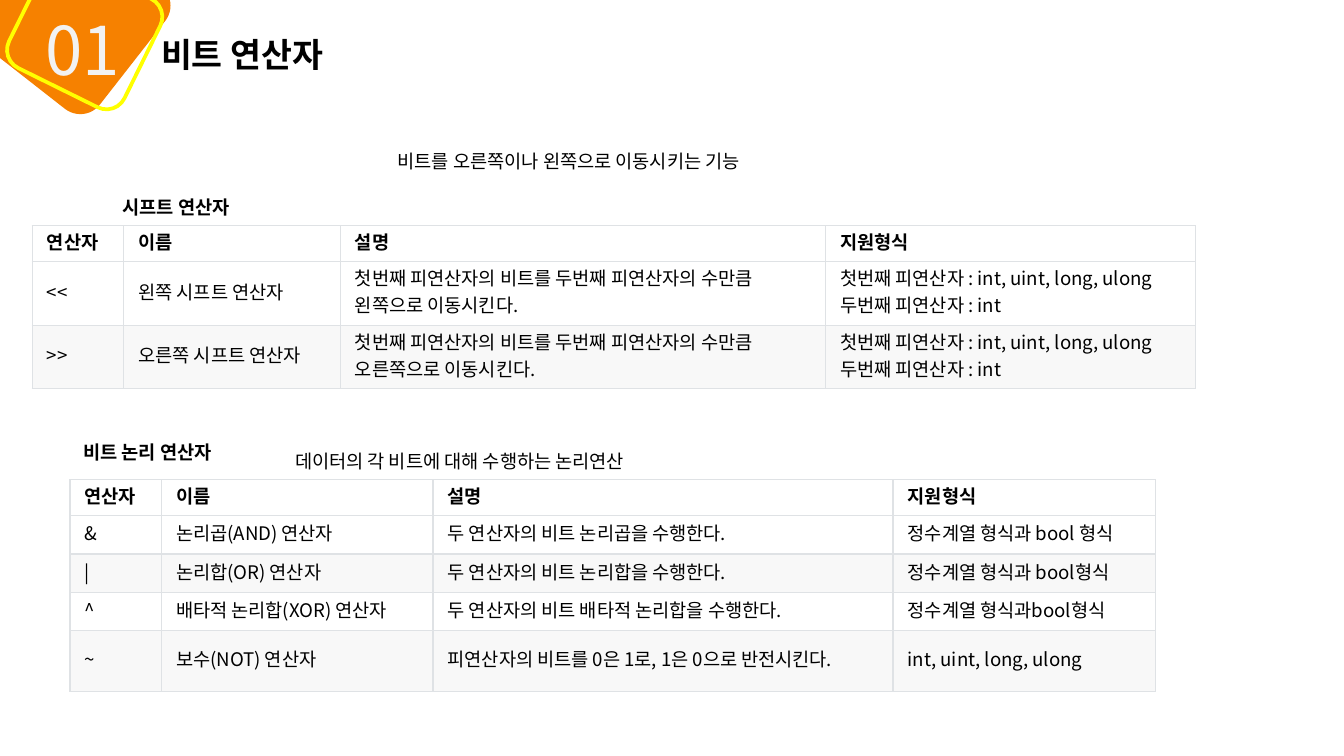
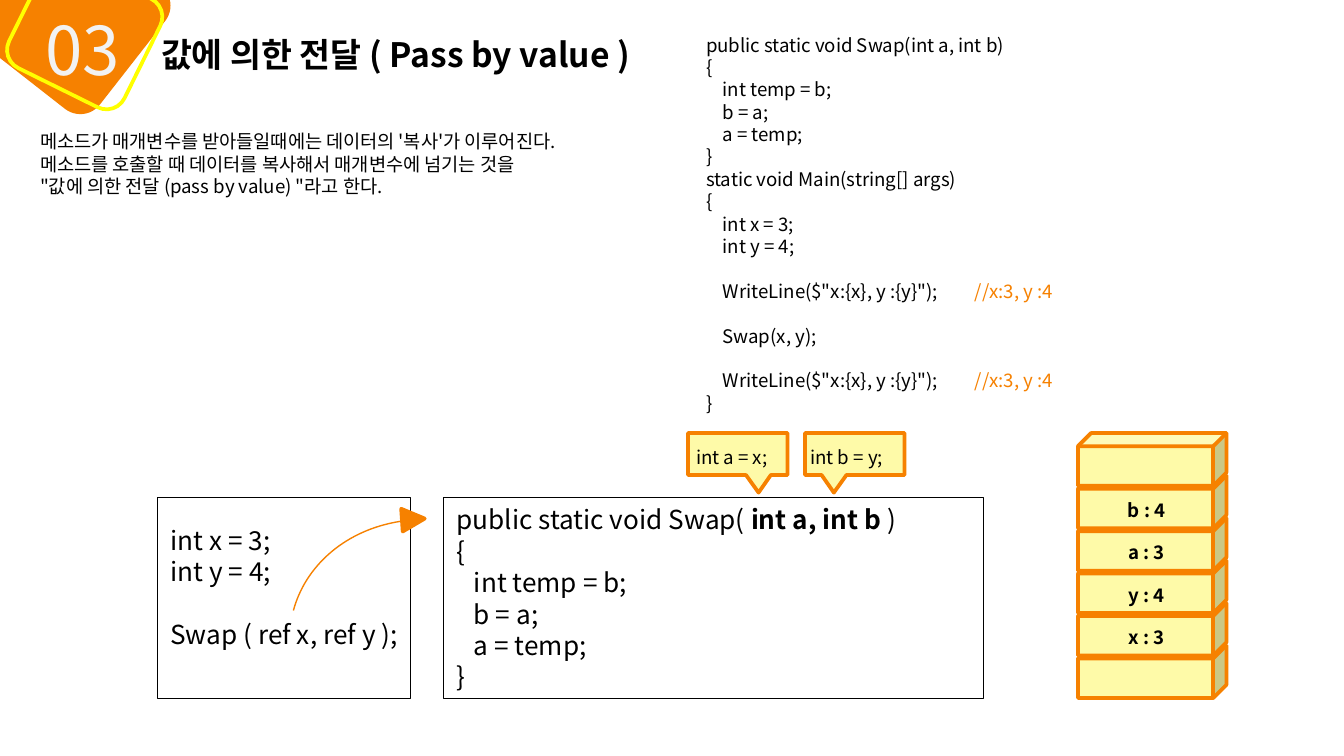
from dataclasses import dataclass
from typing import Any, Optional

from lxml.etree import SubElement
from pptx import Presentation
from pptx.dml.color import RGBColor
from pptx.enum.shapes import MSO_SHAPE
from pptx.enum.text import MSO_ANCHOR, MSO_AUTO_SIZE, PP_ALIGN
from pptx.oxml.ns import qn
from pptx.util import Pt

FONT = "Noto Sans CJK KR"
LEAD = 1.2
BLACK = RGBColor(0x00, 0x00, 0x00)
WHITE = RGBColor(0xFF, 0xFF, 0xFF)
PALE = RGBColor(0xF2, 0xF2, 0xF2)
BAND = RGBColor(0xF8, 0xF8, 0xF8)
ORANGE = RGBColor(0xF6, 0x81, 0x00)
YELLOW = RGBColor(0xFF, 0xFF, 0x00)
CREAM = RGBColor(0xFE, 0xFA, 0xA8)
GRID = "DFE2E5"


@dataclass
class Label:
    """A text box; the marked part of a line gets its own look."""
    text: str
    x: float
    y: float
    w: float
    h: float = 19.2
    size: float = 10
    bold: bool = False
    tone: RGBColor = BLACK
    wrap: bool = False
    align: PP_ALIGN = PP_ALIGN.LEFT
    mark: str = ""
    mark_tone: RGBColor = BLACK
    mark_bold: bool = False


@dataclass
class Form:
    """A preset shape."""
    kind: MSO_SHAPE
    x: float
    y: float
    w: float
    h: float
    fill: Optional[RGBColor] = None
    line: Optional[RGBColor] = None
    width: float = 2
    turn: float = 0
    adjust: tuple[float, ...] = ()


@dataclass
class Grid:
    """A table with its column widths and row heights."""
    x: float
    y: float
    cols: tuple[float, ...]
    rows: tuple[float, ...]
    cells: list[tuple[str, ...]]


HEAD = ("연산자", "이름", "설명", "지원형식")
SHIFT_TYPES = "첫번째 피연산자 : int, uint, long, ulong\n두번째 피연산자 : int"
SHIFT_TEXT = "첫번째 피연산자의 비트를 두번째 피연산자의 수만큼\n{}으로 이동시킨다."

SHIFT = Grid(17.3, 121, (49, 116, 260, 198), (19.2, 34, 34), [
    HEAD,
    ("<<", "왼쪽 시프트 연산자", SHIFT_TEXT.format("왼쪽"), SHIFT_TYPES),
    (">>", "오른쪽 시프트 연산자", SHIFT_TEXT.format("오른쪽"), SHIFT_TYPES),
])
LOGIC = Grid(37.5, 257, (49, 145.5, 246.5, 140.4), (19.2, 20.6, 20.6, 20.6, 32.5), [
    HEAD,
    ("&", "논리곱(AND) 연산자", "두 연산자의 비트 논리곱을 수행한다.",
     "정수계열 형식과 bool 형식"),
    ("|", "논리합(OR) 연산자", "두 연산자의 비트 논리합을 수행한다.",
     "정수계열 형식과 bool형식"),
    ("^", "배타적 논리합(XOR) 연산자", "두 연산자의 비트 배타적 논리합을 수행한다.",
     "정수계열 형식과bool형식"),
    ("~", "보수(NOT) 연산자", "피연산자의 비트를 0은 1로, 1은 0으로 반전시킨다.",
     "int, uint, long, ulong"),
])
NOTES = [
    Label("비트를 오른쪽이나 왼쪽으로 이동시키는 기능", 206, 77, 220),
    Label("비트 논리 연산자", 37.5, 232.5, 92, bold=True),
    Label("데이터의 각 비트에 대해 수행하는 논리연산", 151, 237.5, 214),
    Label("시프트 연산자", 58.5, 101.5, 78.5, bold=True),
]

INTRO = """메소드가 매개변수를 받아들일때에는 데이터의 '복사'가 이루어진다.
메소드를 호출할 때 데이터를 복사해서 매개변수에 넘기는 것을
"값에 의한 전달 (pass by value) "라고 한다."""
CODE = """public static void Swap(int a, int b)
{
    int temp = b;
    b = a;
    a = temp;
}
static void Main(string[] args)
{
    int x = 3;
    int y = 4;

    WriteLine($"x:{x}, y :{y}");\t//x:3, y :4

    Swap(x, y);

    WriteLine($"x:{x}, y :{y}");\t//x:3, y :4
}"""
CALL = """int x = 3;
int y = 4;

Swap ( ref x, ref y );"""
SWAP = """public static void Swap( int a, int b )
{
   int temp = b;
   b = a;
   a = temp;
}"""
TEXTS = [
    Label(INTRO, 14.4, 66.3, 354, 44, wrap=True),
    Label(CODE, 371.2, 14.4, 360, 213, wrap=True, mark="//x:3, y :4", mark_tone=ORANGE),
    Label(CALL, 84.2, 277.2, 142, 92, 14, wrap=True),
    Label(SWAP, 237.4, 266.4, 252, 108.5, 14, mark="int a, int b ", mark_bold=True),
]
FLOW = [
    Form(MSO_SHAPE.RECTANGLE, 237.4, 266.4, 289.6, 107.8, line=BLACK, width=0.5),
    Form(MSO_SHAPE.RECTANGLE, 84.2, 266.4, 136, 107.8, line=BLACK, width=0.5),
    Form(MSO_SHAPE.ARC, 164.2, 269.3, 136.8, 156.2, line=ORANGE, width=0.75,
         turn=285.1, adjust=(162, 203.48)),
    Form(MSO_SHAPE.ISOSCELES_TRIANGLE, 215.3, 272.2, 12.2, 12.2, ORANGE, ORANGE, turn=86.1),
]
STACK = ("", "b : 4", "a : 3", "y : 4", "x : 3", "")
STACK_X, STACK_Y, STEP = 577.5, 232, 22.75


def style(run: Any, size: float, tone: RGBColor, bold: bool) -> None:
    """Give a run its font, for Latin and Korean alike."""
    font = run.font
    font.size, font.bold, font.name = Pt(size), bold, FONT
    font.color.rgb = tone
    SubElement(run._r.get_or_add_rPr(), qn("a:ea"), typeface=FONT)


def fill_text(frame: Any, item: Label, gap: float = 0) -> None:
    """Write the lines of a label; an empty line becomes space before the next."""
    lead = item.size * LEAD
    para, space = None, 0.0
    for line in item.text.split("\n"):
        if not line:
            space += lead
            continue
        if para is None:
            para = frame.paragraphs[0]
        else:
            para = frame.add_paragraph()
            para.space_before = Pt(space + gap)
        space = 0.0
        para.alignment = item.align
        para.line_spacing = Pt(lead)
        parts = line.partition(item.mark) if item.mark else (line,)
        for spot, part in enumerate(parts):
            if part:
                run = para.add_run()
                run.text = part
                hit = spot == 1
                style(run, item.size, item.mark_tone if hit else item.tone,
                      item.mark_bold if hit else item.bold)


def add_label(shapes: Any, item: Label) -> None:
    """Draw a text box."""
    box = shapes.add_textbox(Pt(item.x), Pt(item.y), Pt(item.w), Pt(item.h))
    frame = box.text_frame
    frame.word_wrap = item.wrap
    frame.auto_size = MSO_AUTO_SIZE.SHAPE_TO_FIT_TEXT
    fill_text(frame, item)


def add_form(shapes: Any, item: Form) -> None:
    """Draw a preset shape."""
    shape = shapes.add_shape(item.kind, Pt(item.x), Pt(item.y), Pt(item.w), Pt(item.h))
    shape.shadow.inherit = False
    shape.rotation = item.turn
    for spot, value in enumerate(item.adjust):
        shape.adjustments[spot] = value
    if item.fill is None:
        shape.fill.background()
    else:
        shape.fill.solid()
        shape.fill.fore_color.rgb = item.fill
    if item.line is None:
        shape.line.fill.background()
    else:
        shape.line.color.rgb = item.line
        shape.line.width = Pt(item.width)


def add_edges(cell: Any) -> None:
    """Line a cell on all four sides."""
    props = cell._tc.get_or_add_tcPr()
    for spot, side in enumerate(("lnL", "lnR", "lnT", "lnB")):
        edge = props.makeelement(qn(f"a:{side}"), {"w": str(int(Pt(0.75)))})
        SubElement(SubElement(edge, qn("a:solidFill")), qn("a:srgbClr"), val=GRID)
        props.insert(spot, edge)


def add_grid(shapes: Any, item: Grid) -> None:
    """Draw a table with a bold head and banded rows."""
    frame = shapes.add_table(len(item.rows), len(item.cols), Pt(item.x), Pt(item.y),
                             Pt(sum(item.cols)), Pt(sum(item.rows)))
    table = frame.table
    table.first_row = table.horz_banding = False
    for col, width in zip(table.columns, item.cols):
        col.width = Pt(width)
    for row, height in zip(table.rows, item.rows):
        row.height = Pt(height)
    for r, texts in enumerate(item.cells):
        for c, text in enumerate(texts):
            cell = table.cell(r, c)
            cell.fill.solid()
            cell.fill.fore_color.rgb = BAND if r and r % 2 == 0 else WHITE
            cell.vertical_anchor = MSO_ANCHOR.MIDDLE
            cell.margin_left = cell.margin_right = Pt(7.9)
            cell.margin_top = cell.margin_bottom = Pt(3.6)
            fill_text(cell.text_frame, Label(text, 0, 0, 0, bold=r == 0), 2.4)
            add_edges(cell)


def add_page(deck: Any, code: str, title: str, width: float, height: float) -> Any:
    """Start a slide with its number badge and title."""
    shapes = deck.slides.add_slide(deck.slide_layouts[6]).shapes
    badge = shapes.add_group_shape().shapes
    add_form(badge, Form(MSO_SHAPE.ROUNDED_RECTANGLE, -2.2, -31, 83.5, 80, ORANGE, turn=308))
    add_form(badge, Form(MSO_SHAPE.ROUNDED_RECTANGLE, 13, -16.6, 64.8, 69, line=YELLOW,
                         turn=296.3))
    add_label(badge, Label(code, 17.3, 0.7, 62.6, 51, 36, tone=PALE, wrap=True))
    add_label(shapes, Label(title, 79.2, 14.4, width, height, 18, True))
    return shapes


def add_stack(shapes: Any) -> None:
    """Draw the memory cubes from the bottom up, then their labels."""
    spots = [(STACK_Y + i * STEP, text) for i, text in enumerate(STACK)][::-1]
    for y, _ in spots:
        add_form(shapes, Form(MSO_SHAPE.CUBE, STACK_X, y, 79.5, 28.2, CREAM, ORANGE))
    for y, text in spots:
        if text:
            add_label(shapes, Label(text, STACK_X, y + 8.9, 73.4, bold=True, wrap=True,
                                    align=PP_ALIGN.CENTER))


def main() -> None:
    """Build both slides and save them."""
    deck = Presentation()
    deck.slide_width, deck.slide_height = Pt(720), Pt(405)

    bits = add_page(deck, "01", "비트 연산자", 111.6, 28.8)
    for grid in (SHIFT, LOGIC):
        add_grid(bits, grid)
    for note in NOTES:
        add_label(bits, note)

    swap = add_page(deck, "03", "값에 의한 전달 ( Pass by value )", 286, 51)
    for text in TEXTS:
        add_label(swap, text)
    for form in FLOW:
        add_form(swap, form)
    add_stack(swap)
    for x, tail in ((431.3, -0.21), (368.6, 0.21)):
        add_form(swap, Form(MSO_SHAPE.RECTANGULAR_CALLOUT, x, 232, 53.3, 22.5, CREAM, ORANGE,
                            adjust=(tail, 0.92)))
    for text, x, width in (("int a = x;", 365.8, 56.2), ("int b = y;", 427, 57.6)):
        add_label(swap, Label(text, x, 235.4, width))
    deck.save("out.pptx")


if __name__ == "__main__":
    main()
